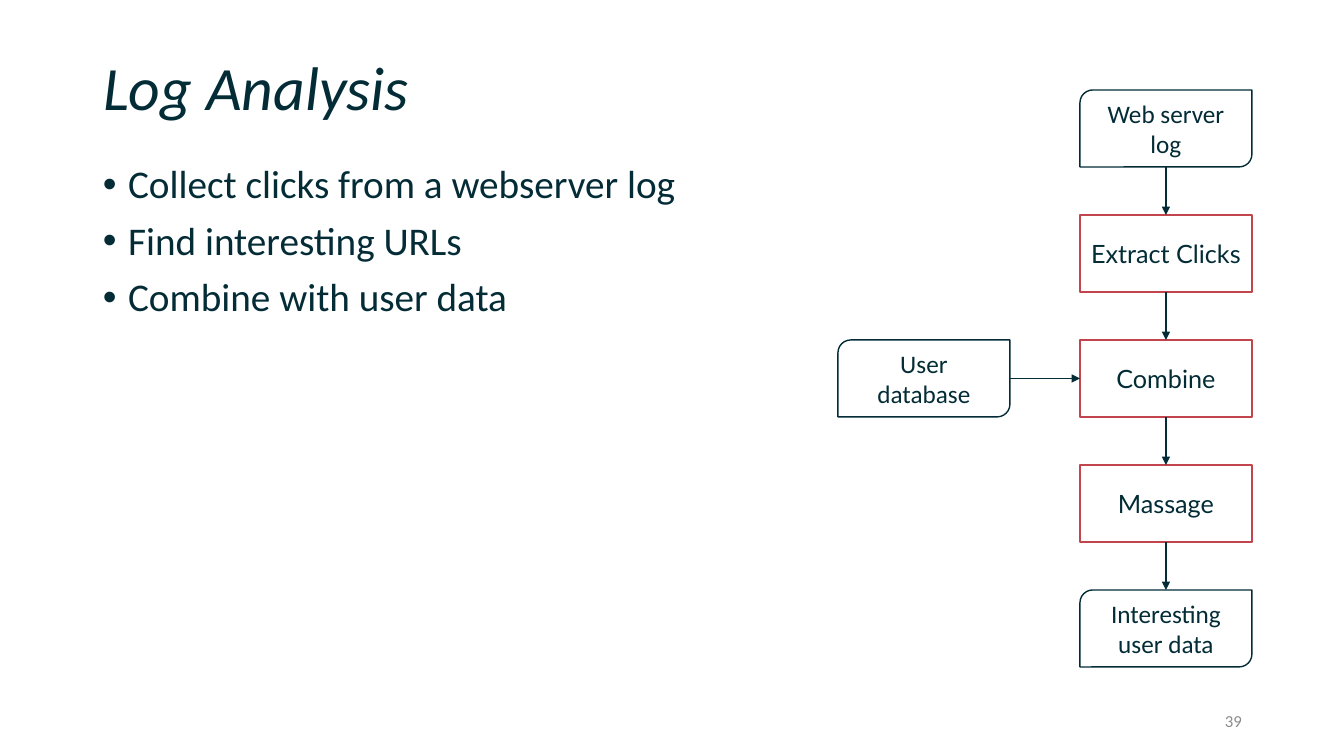
from dataclasses import dataclass

from lxml import etree
from pptx import Presentation
from pptx import util as u
from pptx.dml.color import RGBColor
from pptx.enum import shapes, text
from pptx.oxml.ns import qn

TOP, LEFT, BOTTOM, RIGHT = range(4)
STEP = shapes.MSO_SHAPE.RECTANGLE
DATA = shapes.MSO_SHAPE.ROUND_2_DIAG_RECTANGLE


@dataclass(frozen=True)
class Theme:
    ink: str = "032C36"
    accent: str = "C2454E"
    muted: str = "8C8C8C"
    font: str = "Calibri"
    step_font: str = "Lato"
    title_size: int = 44
    body_size: int = 28
    node_size: int = 18
    number_size: int = 12
    line_width: int = 1


def px(length):
    """Turn pixels, 100.8 to the inch, into EMU."""
    return u.Inches(length / 100.8)


class SlideBuilder:
    def __init__(self, slide, theme):
        self.slide = slide
        self.theme = theme

    def place(self, shape, left, top, width, height):
        shape.left, shape.top = px(left), px(top)
        shape.width, shape.height = px(width), px(height)

    def set_text(self, shape, words, size, color, font, align, anchor, italic=False):
        frame = shape.text_frame
        frame.text = words
        frame.word_wrap = True
        frame.auto_size = text.MSO_AUTO_SIZE.NONE
        frame.vertical_anchor = anchor
        for para in frame.paragraphs:
            para.alignment = align
            for span in para.runs:
                span.font.name = font
                span.font.size = u.Pt(size)
                span.font.italic = italic
                span.font.color.rgb = RGBColor.from_string(color)
        return frame

    def title(self, words, *bounds):
        title = self.slide.shapes.title
        self.place(title, *bounds)
        frame = self.set_text(title, words, self.theme.title_size, self.theme.ink,
                              self.theme.font, text.PP_ALIGN.LEFT,
                              text.MSO_ANCHOR.MIDDLE, italic=True)
        frame.paragraphs[0].line_spacing = 0.9

    def text_box(self, words, bounds, size, color, align, anchor):
        box = self.slide.shapes.add_textbox(*map(px, bounds))
        return self.set_text(box, words, size, color, self.theme.font, align, anchor)

    def bullets(self, items, *bounds):
        frame = self.text_box("\n".join(items), bounds, self.theme.body_size,
                              self.theme.ink, text.PP_ALIGN.LEFT,
                              text.MSO_ANCHOR.TOP)
        indent = u.Inches(0.25)
        for para in frame.paragraphs:
            para.line_spacing = 0.9
            para.space_before = u.Pt(10)
            props = para._p.get_or_add_pPr()
            props.set("marL", str(indent))
            props.set("indent", str(-indent))
            etree.SubElement(props, qn("a:buFont"), typeface="Arial")
            etree.SubElement(props, qn("a:buChar"), char="•")

    def page_number(self, number, *bounds):
        self.text_box(number, bounds, self.theme.number_size, self.theme.muted,
                      text.PP_ALIGN.RIGHT, text.MSO_ANCHOR.MIDDLE)

    def node(self, kind, words, *bounds):
        theme = self.theme
        line, font = ((theme.accent, theme.step_font) if kind == STEP
                      else (theme.ink, theme.font))
        box = self.slide.shapes.add_shape(kind, *map(px, bounds))
        box.shadow.inherit = False
        box.fill.background()
        box.line.color.rgb = RGBColor.from_string(line)
        box.line.width = u.Pt(theme.line_width)
        self.set_text(box, words, theme.node_size, theme.ink, font,
                      text.PP_ALIGN.CENTER, text.MSO_ANCHOR.MIDDLE)
        return box

    def side_middle(self, box, side):
        across = {LEFT: 0, RIGHT: box.width}.get(side, box.width // 2)
        down = {TOP: 0, BOTTOM: box.height}.get(side, box.height // 2)
        return box.left + across, box.top + down

    def arrow(self, source, source_side, target, target_side):
        """Draw an arrow between two sides, joined wherever a box is a rectangle."""
        arrow = self.slide.shapes.add_connector(
            shapes.MSO_CONNECTOR.STRAIGHT,
            *self.side_middle(source, source_side),
            *self.side_middle(target, target_side))
        if source.auto_shape_type == STEP:
            arrow.begin_connect(source, source_side)
        if target.auto_shape_type == STEP:
            arrow.end_connect(target, target_side)
        arrow.line.color.rgb = RGBColor.from_string(self.theme.ink)
        arrow.line.width = u.Pt(self.theme.line_width)
        etree.SubElement(arrow.line._get_or_add_ln(), qn("a:tailEnd"),
                         type="triangle")
        etree.SubElement(arrow._element.spPr, qn("a:effectLst"))


def main():
    deck = Presentation()
    deck.slide_width, deck.slide_height = px(1344), px(756)
    title_only = deck.slide_layouts.get_by_name("Title Only")
    page = SlideBuilder(deck.slides.add_slide(title_only), Theme())

    page.title("Log Analysis", 93, 40, 1159, 102)
    page.bullets(["Collect clicks from a webserver log",
                  "Find interesting URLs",
                  "Combine with user data"], 93, 160, 1159, 520)
    page.page_number("39", 950, 701, 302, 40)

    flow_left, flow_top, pitch = 1080, 90, 125
    node_size = 172, 77
    stages = [(DATA, "Web server log"),
              (STEP, "Extract Clicks"),
              (STEP, "Combine"),
              (STEP, "Massage"),
              (DATA, "Interesting user data")]
    flow = [page.node(kind, words, flow_left, flow_top + row * pitch, *node_size)
            for row, (kind, words) in enumerate(stages)]
    for upper, lower in zip(flow, flow[1:]):
        page.arrow(upper, BOTTOM, lower, TOP)

    combine_row = 2
    database = page.node(DATA, "User database", 838,
                         flow_top + combine_row * pitch, *node_size)
    page.arrow(database, RIGHT, flow[combine_row], LEFT)

    deck.save("out.pptx")


if __name__ == "__main__":
    main()
